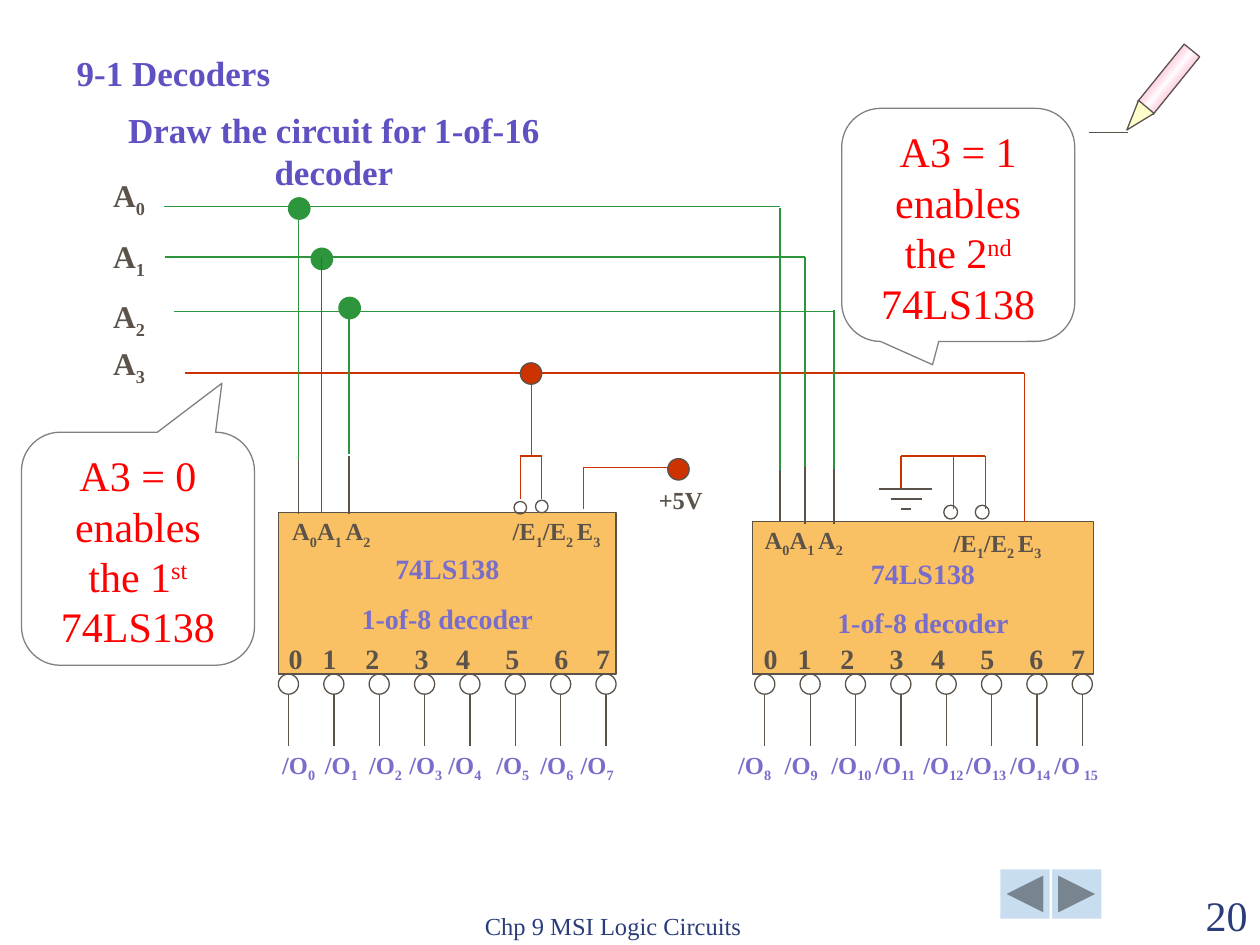
from dataclasses import dataclass

from lxml.etree import SubElement
from pptx import Presentation
from pptx.dml.color import RGBColor
from pptx.enum.shapes import MSO_CONNECTOR, MSO_SHAPE as Shape
from pptx.enum.text import MSO_ANCHOR as Anchor, PP_ALIGN as Align
from pptx.oxml import parse_xml
from pptx.oxml.ns import nsdecls, qn
from pptx.util import Emu, Pt

EMU_PER_PX = 9144  # 100 px to the inch
FONT = "Times New Roman"
NAVY = RGBColor(0x2A, 0x3D, 0x7A)
BROWN = RGBColor(0x5B, 0x52, 0x49)
VIOLET = RGBColor(0x78, 0x6D, 0xCB)
TITLE = RGBColor(0x5E, 0x51, 0xC1)
ORANGE = RGBColor(0xFA, 0xC1, 0x64)
BRICK = RGBColor(0xCC, 0x33, 0x00)
GREEN = RGBColor(0x2D, 0x95, 0x3C)
RED = RGBColor(0xFF, 0x00, 0x00)
GRAY = RGBColor(0x80, 0x80, 0x80)
CREAM = RGBColor(0xFF, 0xFF, 0xCC)
SKY = RGBColor(0xC9, 0xDD, 0xF1)


@dataclass(frozen=True)
class Style:
    size: int
    color: RGBColor
    bold: bool = True
    align: Align = Align.LEFT
    gap: int = 0
    baseline: int = -25


@dataclass(frozen=True)
class Chip:
    box: tuple
    address_at: tuple
    enable_at: tuple
    digits_left: int
    bubbles_left: int
    outputs_box: tuple
    outputs: str
    output_tabs: tuple


@dataclass(frozen=True)
class Wire:
    color: RGBColor
    points: tuple
    width: float = 0.75


@dataclass(frozen=True)
class Callout:
    at: tuple
    tail: tuple
    text: str


PIN = Style(14, BROWN)
INPUT = Style(18, BROWN, gap=10)
OUTPUT = Style(14, VIOLET)
DIGITS = Style(16, BROWN)
CHIP_NAME = Style(16, VIOLET, align=Align.CENTER, gap=9)
NOTE = Style(24, RED, False, Align.CENTER, baseline=30)
DIGIT_TABS = (27, 61, 100, 133, 172, 211, 244)

CHIPS = (
    Chip((221, 407, 268, 128), (222, 405), (397, 405), 214, 221,
         (214, 590, 299, 33),
         "/O|0|\t/O|1|\t/O|2|\t/O|3|\t/O|4|\t/O|5|\t/O|6|\t/O|7",
         (34, 69, 101, 132, 170, 205, 237)),
    Chip((597, 414, 271, 121), (597, 412), (747, 414), 591, 599,
         (576, 590, 354, 33),
         "/O|8|\t/O|9|\t/O|10|\t/O|11|\t/O|12|\t/O|13|\t/O|14|\t/O| 15",
         (37, 74, 109, 147, 181, 216, 251)),
)
CALLOUTS = (
    Callout((17, 343), (0.36, -0.71), "A3 = 0 enables the 1|st| 74LS138"),
    Callout((668, 86), (-0.11, 0.6), "A3 = 1 enables the 2|nd |74LS138"),
)
WIRES = (
    # A3, its enable inputs and the +5V feed
    Wire(BRICK, ((147, 296), (813, 296), (813, 414))),
    Wire(BRICK, ((463, 404), (463, 371), (538, 371))),
    Wire(BRICK, ((413, 396), (413, 362), (430, 362), (430, 396))),
    Wire(BRICK, ((422, 362), (422, 296))),
    # Grounded enables
    Wire(BRICK, ((782, 404), (782, 362), (715, 362), (715, 388))),
    Wire(BRICK, ((757, 404), (757, 362))),
    Wire(BROWN, ((698, 388), (740, 388))),
    Wire(BROWN, ((707, 396), (732, 396))),
    Wire(BROWN, ((715, 404), (723, 404))),
    # Address pins
    Wire(BROWN, ((237, 362), (237, 408))),
    Wire(BROWN, ((255, 361), (255, 407))),
    Wire(BROWN, ((277, 362), (277, 408))),
    Wire(BROWN, ((619, 367), (619, 414))),
    Wire(BROWN, ((639, 370), (639, 416))),
    Wire(BROWN, ((662, 370), (662, 416))),
    # Address bus
    Wire(GREEN, ((130, 164), (619, 164)), 1),
    Wire(GREEN, ((131, 204), (639, 204)), 1),
    Wire(GREEN, ((138, 247), (662, 247))),
    Wire(GREEN, ((619, 165), (619, 373))),
    Wire(GREEN, ((639, 204), (639, 371))),
    Wire(GREEN, ((662, 246), (662, 372))),
    Wire(GREEN, ((237, 165), (237, 365))),
    Wire(BROWN, ((255, 204), (255, 363))),
    Wire(GREEN, ((277, 244), (277, 360))),
)
GREEN_DOTS = ((229, 157), (247, 197), (269, 236))
BRICK_DOTS = ((413, 288), (530, 364))
ENABLE_BUBBLES = ((408, 398, 10), (425, 397, 10), (749, 401, 11), (774, 401, 11))


def px(*lengths: int) -> list:
    return [Emu(length * EMU_PER_PX) for length in lengths]


def write(frame, text: str, style: Style, tabs: tuple = ()) -> None:
    """Fill a frame; lines part paragraphs, bars switch the raised or lowered script."""
    for index, line in enumerate(text.split("\n")):
        para = frame.add_paragraph() if index else frame.paragraphs[0]
        para.alignment = style.align
        if index:
            para.space_before = Pt(style.gap)
        if tabs:
            stops = SubElement(para._p.get_or_add_pPr(), qn("a:tabLst"))
            for position in px(*tabs):
                SubElement(stops, qn("a:tab"), pos=str(position), algn="l")
        font = para.font
        font.name, font.size, font.bold = FONT, Pt(style.size), style.bold
        font.color.rgb = style.color
        for number, piece in enumerate(line.split("|")):
            span = para.add_run()
            span.text = piece
            if number % 2:
                span.font._element.set("baseline", str(style.baseline * 1000))


def add_text(page, box: tuple, text: str, style: Style, tabs: tuple = (),
             anchor: Anchor = Anchor.TOP, wrap: bool = True):
    frame = page.shapes.add_textbox(*px(*box)).text_frame
    frame.word_wrap, frame.vertical_anchor = wrap, anchor
    write(frame, text, style, tabs)
    return frame


def add_shape(page, kind: Shape, box: tuple, fill: RGBColor = None,
              line: RGBColor = BROWN, rotation: float = 0):
    shape = page.shapes.add_shape(kind, *px(*box))
    shape.shadow.inherit = False
    shape.rotation = rotation
    if fill is None:
        shape.fill.background()
    else:
        shape.fill.solid()
        shape.fill.fore_color.rgb = fill
    if line is None:
        shape.line.fill.background()
    else:
        shape.line.color.rgb, shape.line.width = line, Pt(0.75)
    return shape


def add_wire(page, wire: Wire) -> None:
    for start, end in zip(wire.points, wire.points[1:]):
        line = page.shapes.add_connector(MSO_CONNECTOR.STRAIGHT, *px(*start, *end))
        line.line.color.rgb, line.line.width = wire.color, Pt(wire.width)
        SubElement(line._element.spPr, qn("a:effectLst"))


def add_chip(page, chip: Chip) -> None:
    body = add_shape(page, Shape.RECTANGLE, chip.box, ORANGE).text_frame
    body.word_wrap, body.vertical_anchor = False, Anchor.MIDDLE
    write(body, "74LS138\n1-of-8 decoder", CHIP_NAME)
    add_text(page, (*chip.address_at, 111, 33), "A|0|A|1 |A|2", PIN)
    add_text(page, (*chip.enable_at, 111, 33), "/E|1|/E|2 |E|3", PIN)
    digits = add_text(page, (chip.digits_left, 504, 291, 37),
                      "\t".join("01234567"), DIGITS, DIGIT_TABS)
    digits.margin_left, = px(15)
    for left in range(chip.bubbles_left, chip.bubbles_left + 8 * 36, 36):
        add_wire(page, Wire(BROWN, ((left + 8, 551), (left + 8, 592))))
        add_shape(page, Shape.OVAL, (left, 535, 16, 16))
    add_text(page, chip.outputs_box, chip.outputs, OUTPUT, chip.output_tabs)


def add_pencil(page) -> None:
    barrel = add_shape(page, Shape.RECTANGLE, (898, 55, 59, 16), rotation=309)
    pink = '<a:srgbClr val="FF0066"><a:alpha val="25000"/></a:srgbClr>'
    gradient = parse_xml(
        f'<a:gradFill {nsdecls("a")} rotWithShape="1"><a:gsLst>'
        f'<a:gs pos="0">{pink}</a:gs>'
        '<a:gs pos="50000"><a:srgbClr val="FFFFFF"/></a:gs>'
        f'<a:gs pos="100000">{pink}</a:gs>'
        '</a:gsLst><a:lin ang="5400000" scaled="0"/></a:gradFill>')
    properties = barrel._element.spPr
    properties.replace(properties.find(qn("a:noFill")), gradient)
    add_shape(page, Shape.ISOSCELES_TRIANGLE, (894, 82, 16, 24), CREAM, rotation=220.1)
    add_wire(page, Wire(BROWN, ((864, 105), (895, 105))))


def main() -> None:
    deck = Presentation()
    deck.slide_width, deck.slide_height = px(1000, 750)
    page = deck.slides.add_slide(deck.slide_layouts[6])

    add_shape(page, Shape.ACTION_BUTTON_BACK_OR_PREVIOUS, (794, 690, 39, 39), SKY, None)
    add_shape(page, Shape.ACTION_BUTTON_FORWARD_OR_NEXT, (835, 690, 39, 39), SKY, None)
    add_text(page, (375, 701, 317, 50), "Chp 9 MSI Logic Circuits",
             Style(14, NAVY, False), anchor=Anchor.BOTTOM)
    add_text(page, (900, 701, 100, 50), "20",
             Style(24, NAVY, False, Align.RIGHT), anchor=Anchor.BOTTOM)

    for chip in CHIPS:
        add_chip(page, chip)
    for left, top, size in ENABLE_BUBBLES:
        add_shape(page, Shape.OVAL, (left, top, size, size))
    for dot in GREEN_DOTS:
        add_shape(page, Shape.OVAL, (*dot, 17, 17), GREEN, GREEN)
    for wire in WIRES:
        add_wire(page, wire)
    for dot in BRICK_DOTS:
        add_shape(page, Shape.OVAL, (*dot, 17, 17), BRICK)

    add_text(page, (513, 380, 55, 33), "+5V", PIN, wrap=False)
    add_text(page, (80, 135, 55, 130), "A|0\nA|1\nA|2", INPUT)
    add_text(page, (80, 268, 68, 40), "A|3", INPUT)
    add_pencil(page)

    add_text(page, (51, 36, 174, 43), "9-1 Decoders", Style(20, TITLE))
    task = add_text(page, (92, 81, 448, 43), "Draw the circuit for 1-of-16 decoder",
                    Style(20, TITLE, align=Align.CENTER))
    task.margin_left, task.margin_right = px(2, 104)

    for callout in CALLOUTS:
        bubble = add_shape(page, Shape.ROUNDED_RECTANGULAR_CALLOUT,
                           (*callout.at, 185, 185), line=GRAY)
        bubble.adjustments[0], bubble.adjustments[1] = callout.tail
        bubble.text_frame.word_wrap = True
        bubble.text_frame.vertical_anchor = Anchor.TOP
        write(bubble.text_frame, callout.text, NOTE)

    deck.save("out.pptx")


if __name__ == "__main__":
    main()
